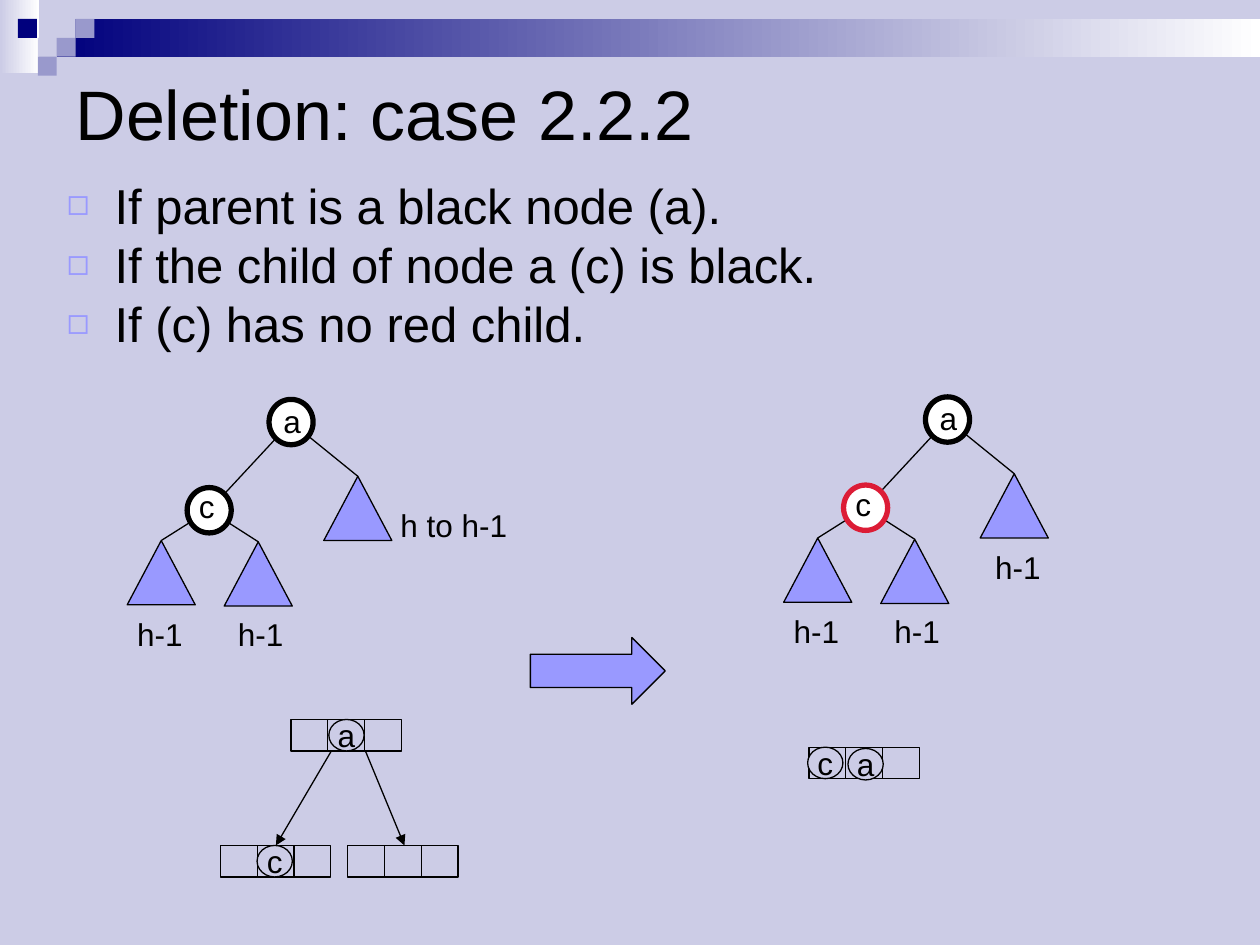
from lxml import etree
from pptx import Presentation, util as u
from pptx.dml.color import RGBColor
from pptx.enum import shapes, text
from pptx.oxml import ns

LAVENDER = RGBColor(0xCC, 0xCC, 0xE6)
NAVY = RGBColor(0x00, 0x00, 0x7D)
MUTED = RGBColor(0x99, 0x99, 0xCC)
PERIWINKLE = RGBColor(0x99, 0x99, 0xFF)
RED = RGBColor(0xDC, 0x1C, 0x36)
BLACK = RGBColor(0, 0, 0)
WHITE = RGBColor(0xFF, 0xFF, 0xFF)

FONT = "Arial"
SHAPE = shapes.MSO_SHAPE
COLUMNS, ROWS = 100, 75  # the slide grid; every length below counts its cells
LABEL_HEIGHT = 4
SQUARE = 1.5  # header mosaic
CELL_WIDTH, CELL_HEIGHT = 2.92, 2.5

presentation = Presentation()
presentation.slide_width, presentation.slide_height = u.Inches(10), u.Inches(7.5)


def across(columns):
    return round(presentation.slide_width * columns / COLUMNS)


def down(rows):
    return round(presentation.slide_height * rows / ROWS)


def grid_box(left, top, width, height):
    return across(left), down(top), across(width), down(height)


def add_figure(parent, kind, box, fill=None, line=None, weight=0.75):
    shape = parent.add_shape(kind, *grid_box(*box))
    shape.shadow.inherit = False
    if fill is None:
        shape.fill.background()
    else:
        shape.fill.solid()
        shape.fill.fore_color.rgb = fill
    if line is None:
        shape.line.fill.background()
    else:
        shape.line.color.rgb = line
        shape.line.width = u.Pt(weight)
    return shape


def add_line(parent, start, end, arrow=False):
    line = parent.add_connector(
        shapes.MSO_CONNECTOR.STRAIGHT,
        across(start[0]), down(start[1]), across(end[0]), down(end[1]))
    line.line.color.rgb = BLACK
    line.line.width = u.Pt(0.75)
    if arrow:
        etree.SubElement(line.line._get_or_add_ln(), ns.qn("a:tailEnd"), type="triangle")
    etree.SubElement(line._element.spPr, ns.qn("a:effectLst"))


def format_paragraph(paragraph, size, alignment=text.PP_ALIGN.LEFT):
    paragraph.alignment = alignment
    paragraph.font.name = FONT
    paragraph.font.size = u.Pt(size)
    paragraph.font.color.rgb = BLACK


def add_label(parent, wording, left, top, width):
    frame = parent.add_textbox(*grid_box(left, top, width, LABEL_HEIGHT)).text_frame
    frame.word_wrap = False
    frame.auto_size = text.MSO_AUTO_SIZE.SHAPE_TO_FIT_TEXT
    frame.text = wording
    format_paragraph(frame.paragraphs[0], 18)


def fill_placeholder(placeholder, box, lines, anchor):
    placeholder.left, placeholder.top, placeholder.width, placeholder.height = grid_box(*box)
    frame = placeholder.text_frame
    frame.text = "\n".join(lines)
    frame.word_wrap = True
    frame.auto_size = text.MSO_AUTO_SIZE.NONE
    frame.vertical_anchor = anchor
    return frame


def add_bullet(paragraph):
    properties = paragraph._p.get_or_add_pPr()
    properties.set("marL", str(across(3.8)))
    properties.set("indent", str(-across(3.8)))
    color = etree.SubElement(properties, ns.qn("a:buClr"))
    etree.SubElement(color, ns.qn("a:srgbClr"), val=str(PERIWINKLE))
    etree.SubElement(properties, ns.qn("a:buSzPct"), val="75000")
    etree.SubElement(properties, ns.qn("a:buChar"), char="◻")


def add_title(slide, box, wording):
    frame = fill_placeholder(slide.shapes.title, box, [wording], text.MSO_ANCHOR.MIDDLE)
    format_paragraph(frame.paragraphs[0], 40)


def add_bullets(slide, box, lines):
    frame = fill_placeholder(slide.placeholders[1], box, lines, text.MSO_ANCHOR.TOP)
    frame.margin_top = down(1.1)
    for index, paragraph in enumerate(frame.paragraphs):
        add_bullet(paragraph)
        paragraph.line_spacing = 0.8
        paragraph.space_before = u.Pt(7 if index else 0)
        format_paragraph(paragraph, 28)


def add_header(slide):
    """Two gradient bars and a mosaic of squares along the top edge."""
    group = slide.shapes.add_group_shape().shapes
    bars = [((0, 0, 3.1, 5.8), LAVENDER),
            ((3 * SQUARE, SQUARE, COLUMNS - 3 * SQUARE, 2 * SQUARE), NAVY)]
    for box, start in bars:
        fill = add_figure(group, SHAPE.RECTANGLE, box).fill
        fill.gradient()
        fill.gradient_angle = 0
        for stop, color in zip(fill.gradient_stops, (start, WHITE)):
            stop.color.rgb = color
    squares = [(3, 1, LAVENDER), (4, 0, LAVENDER), (4, 1, MUTED), (2, 2, LAVENDER),
               (0.95, 1, NAVY), (3, 2, MUTED), (2, 3, MUTED)]
    for column, row, color in squares:
        add_figure(group, SHAPE.RECTANGLE,
                   (column * SQUARE, row * SQUARE, SQUARE, SQUARE), color)


def add_tree(slide, left, top, child_color, right_label):
    """Root a, child c and three subtrees; right_label is (wording, x, y, width)."""
    parent = slide.shapes
    root, child = (13, 1.8), (6.5, 8.8)
    apexes = [(2.7, 11.2), (10.4, 11.3), (18.3, 6.1)]
    edges = [(root, apexes[2]), (root, child), (child, apexes[0]), (child, apexes[1])]
    for start, end in edges:
        add_line(parent, (left + start[0], top + start[1]), (left + end[0], top + end[1]))
    for (x, y), color in ((root, BLACK), (child, child_color)):
        add_figure(parent, SHAPE.OVAL, (left + x - 1.75, top + y - 1.8, 3.5, 3.6),
                   WHITE, color, 3)
    for x, y in apexes:
        add_figure(parent, SHAPE.FLOWCHART_EXTRACT,
                   (left + x - 2.7, top + y, 5.4, 5.1), PERIWINKLE, BLACK)
    labels = [("a", 11.4, -0.3, 3.4), ("c", 4.7, 6.5, 3.2),
              ("h-1", -0.2, 16.6, 5.6), ("h-1", 7.8, 16.6, 5.6), right_label]
    for wording, x, y, width in labels:
        add_label(parent, wording, left + x, top + y, width)


def add_node(slide, left, top, keys=()):
    """A row of three cells; keys are (letter, x, y) within the row."""
    group = slide.shapes.add_group_shape().shapes
    for index in range(3):
        add_figure(group, SHAPE.RECTANGLE,
                   (left + index * CELL_WIDTH, top, CELL_WIDTH, CELL_HEIGHT), line=BLACK)
    for letter, x, y in keys:
        oval = add_figure(slide.shapes, SHAPE.OVAL,
                          (left + x, top + y, 2.8, CELL_HEIGHT), LAVENDER, BLACK)
        frame = oval.text_frame
        frame.word_wrap = False
        frame.vertical_anchor = text.MSO_ANCHOR.MIDDLE
        frame.text = letter
        format_paragraph(frame.paragraphs[0], 18, text.PP_ALIGN.CENTER)


def main():
    slide = presentation.slides.add_slide(presentation.slide_layouts[1])
    slide.background.fill.solid()
    slide.background.fill.fore_color.rgb = LAVENDER
    add_header(slide)
    add_title(slide, (5, 5, 90, 7.9), "Deletion: case 2.2.2")
    add_bullets(slide, (4.3, 13.7, 90, 15.4), [
        "If parent is a black node (a).",
        "If the child of node a (c) is black.",
        "If (c) has no red child."])
    add_tree(slide, 10.1, 31.7, BLACK, ("h to h-1", 20.7, 8, 10.5))
    add_tree(slide, 62.2, 31.5, RED, ("h-1", 15.8, 11.5, 5.6))
    add_node(slide, 23.1, 57.1, [("a", 3, 0)])
    add_node(slide, 17.5, 67.1, [("c", 2.9, 0)])
    add_node(slide, 27.6, 67.1)
    add_line(slide.shapes, (26.3, 59.6), (21.9, 67.1), arrow=True)
    add_line(slide.shapes, (29, 59.6), (32.1, 67.1), arrow=True)
    add_node(slide, 64.2, 59.3, [("a", 3.1, 0.1), ("c", -0.1, 0)])
    add_figure(slide.shapes, SHAPE.RIGHT_ARROW, (42.1, 50.6, 10.7, 5.3), PERIWINKLE, BLACK)
    presentation.save("out.pptx")


if __name__ == "__main__":
    main()
